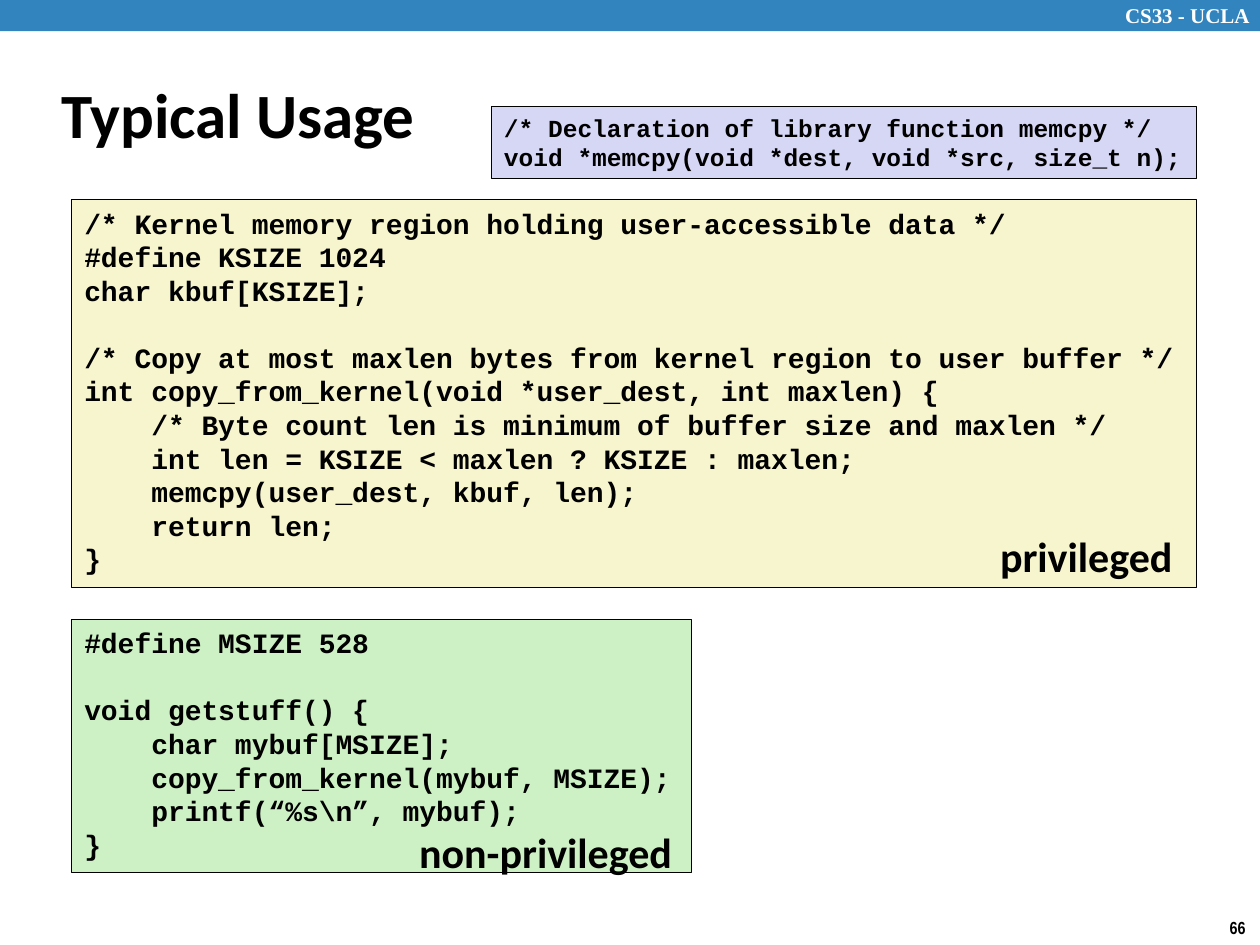
from pptx import Presentation
from pptx.dml.color import RGBColor
from pptx.enum.shapes import MSO_SHAPE
from pptx.enum.text import MSO_ANCHOR, MSO_AUTO_SIZE, PP_ALIGN
from pptx.util import Cm, Pt

RECT = MSO_SHAPE.RECTANGLE
TOP, MIDDLE = MSO_ANCHOR.TOP, MSO_ANCHOR.MIDDLE
FIT = MSO_AUTO_SIZE.SHAPE_TO_FIT_TEXT
LEFT = PP_ALIGN.LEFT

BLACK = RGBColor(0x00, 0x00, 0x00)
WHITE = RGBColor(0xFF, 0xFF, 0xFF)
BLUE = RGBColor(0x32, 0x84, 0xBF)
YELLOW = RGBColor(0xF7, 0xF5, 0xCD)
GREEN = RGBColor(0xCD, 0xF1, 0xC5)
LILAC = RGBColor(0xD6, 0xD6, 0xF5)

LINE_HEIGHT = 1.2  # gap for an empty code line, relative to the font size

KERNEL_CODE = """/* Kernel memory region holding user-accessible data */
#define KSIZE 1024
char kbuf[KSIZE];

/* Copy at most maxlen bytes from kernel region to user buffer */
int copy_from_kernel(void *user_dest, int maxlen) {
    /* Byte count len is minimum of buffer size and maxlen */
    int len = KSIZE < maxlen ? KSIZE : maxlen;
    memcpy(user_dest, kbuf, len);
    return len;
}"""

USER_CODE = r"""#define MSIZE 528

void getstuff() {
    char mybuf[MSIZE];
    copy_from_kernel(mybuf, MSIZE);
    printf(“%s\n”, mybuf);
}"""

MEMCPY_CODE = """/* Declaration of library function memcpy */
void *memcpy(void *dest, void *src, size_t n);"""

prs = Presentation()
prs.slide_width, prs.slide_height = Cm(25.4), Cm(19.05)
s = prs.slides.add_slide(prs.slide_layouts[6])


def add_rect(left, top, width, height, fill, line=None):
    sp = s.shapes.add_shape(RECT, Cm(left), Cm(top), Cm(width), Cm(height))
    sp.shadow.inherit = False
    sp.fill.solid()
    sp.fill.fore_color.rgb = fill
    if line is None:
        sp.line.fill.background()
    else:
        sp.line.color.rgb = line
        sp.line.width = Pt(0.5)
    return sp


def write(sp, text, size, font="Calibri", color=BLACK, anchor=TOP, wrap=False):
    tf = sp.text_frame
    tf.word_wrap = wrap
    tf.vertical_anchor = anchor
    if not wrap:
        tf.auto_size = FIT
    for i, block in enumerate(text.split("\n\n")):
        for j, line in enumerate(block.split("\n")):
            p = tf.add_paragraph() if i or j else tf.paragraphs[0]
            p.alignment = LEFT
            if i and not j:
                p.space_before = Pt(size * LINE_HEIGHT)
            r = p.add_run()
            r.text = line
            r.font.name = font
            r.font.size = Pt(size)
            r.font.bold = True
            r.font.color.rgb = color


# Header band
add_rect(0, 0, 25.4, 0.63, BLUE)

# Code boxes
for left, top, width, height, fill, code, size in [
    (1.45, 4.03, 22.68, 7.82, YELLOW, KERNEL_CODE, 16),
    (1.45, 12.49, 12.5, 5.1, GREEN, USER_CODE, 16),
    (9.91, 2.15, 14.22, 1.45, LILAC, MEMCPY_CODE, 14),
]:
    sp = add_rect(left, top, width, height, fill, line=BLACK)
    write(sp, code, size, font="Courier New")

# Course name, title, page number and privilege labels
for left, top, width, height, text, size, style in [
    (22.43, -0.08, 3.15, 0.76, "CS33 - UCLA", 12,
     dict(font="Times New Roman", color=WHITE, wrap=True)),
    (0.99, 1.24, 21.08, 2.11, "Typical Usage", 36, dict(anchor=MIDDLE, wrap=True)),
    (24.54, 18.36, 0.86, 0.69, "66", 10, dict(font="Arial Narrow")),
    (19.91, 10.57, 4.01, 1.27, "privileged", 24, {}),
    (8.2, 16.54, 5.66, 1.27, "non-privileged", 24, {}),
]:
    sp = s.shapes.add_textbox(Cm(left), Cm(top), Cm(width), Cm(height))
    write(sp, text, size, **style)

prs.save("out.pptx")
